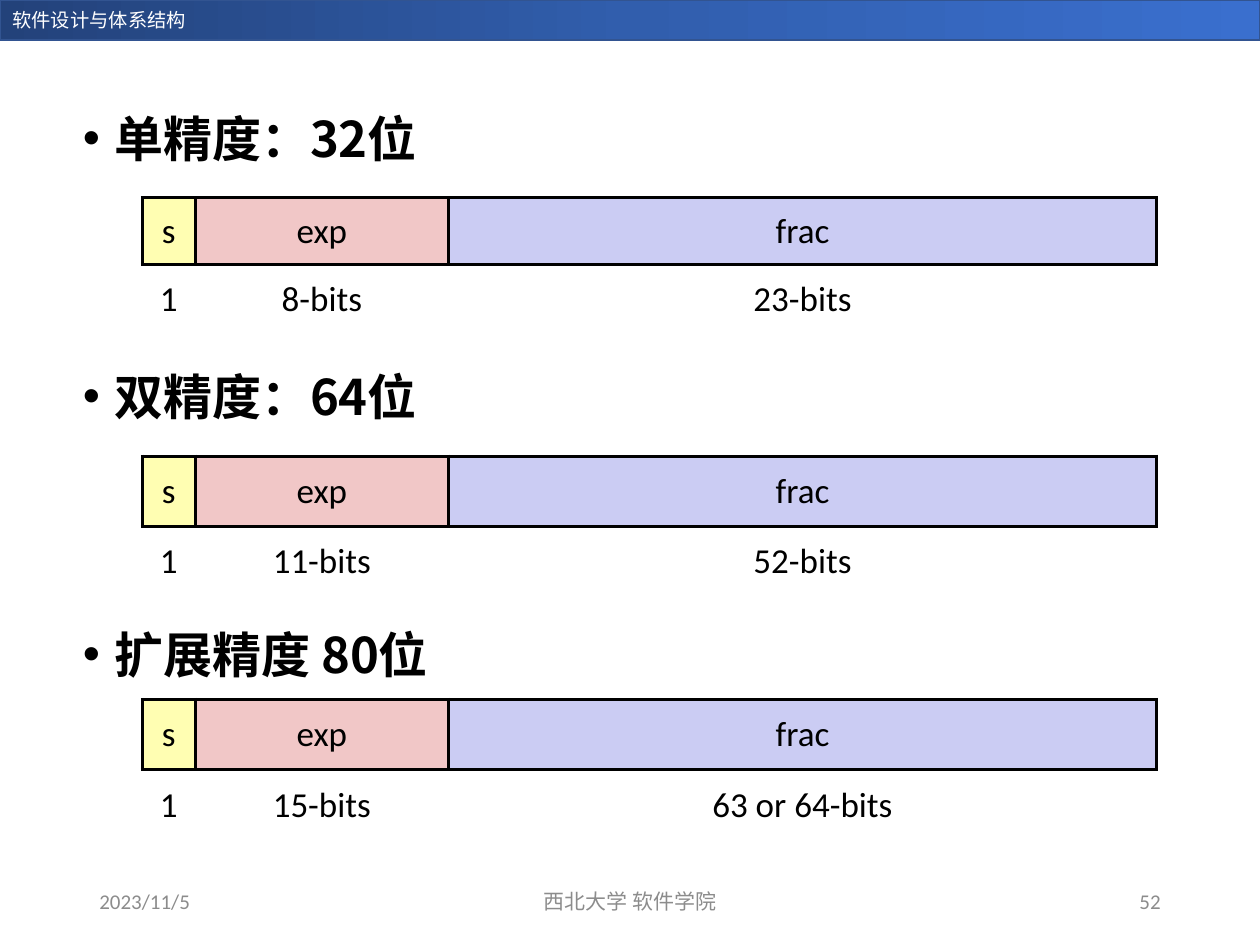
from copy import deepcopy

from lxml import etree
from pptx import Presentation
from pptx import util as u
from pptx.dml.color import RGBColor
from pptx.enum import shapes, text
from pptx.oxml.ns import qn

LATIN, CJK = "Calibri", "Noto Sans CJK SC"
BLACK, GREY, WHITE = "000000", "8C8C8C", "FFFFFF"
FIELDS = [("s", "FFFEB2"), ("exp", "F1C7C7"), ("frac", "CBCCF3")]
COLUMN_WIDTHS = [0.42, 2.01, 5.62]
NO_TABLE_STYLE = "{2D5ABB26-0587-4C30-8999-92F81FD0307C}"

# heading, table top, field row height, bit counts
FORMATS = [
    ("单精度：32位", 1.57, 0.53, ["1", "8-bits", "23-bits"]),
    ("双精度：64位", 3.62, 0.56, ["1", "11-bits", "52-bits"]),
    ("扩展精度 80位", 5.55, 0.56, ["1", "15-bits", "63 or 64-bits"]),
]


def rgb(value):
    return RGBColor.from_string(value)


def style_paragraph(paragraph, size, color, align=text.PP_ALIGN.LEFT, font=LATIN, bold=False):
    paragraph.alignment = align
    for run in paragraph.runs:
        run.font.size = u.Pt(size)
        run.font.name = font
        run.font.bold = bold
        run.font.color.rgb = rgb(color)


def add_text(slide, box, content, size, color, anchor=text.MSO_ANCHOR.TOP, **style):
    shape = slide.shapes.add_textbox(*map(u.Inches, box))
    frame = shape.text_frame
    frame.word_wrap = True
    frame.vertical_anchor = anchor
    frame.text = content
    style_paragraph(frame.paragraphs[0], size, color, **style)
    return frame.paragraphs[0]


def add_header(slide, box):
    """Gradient band with the course name."""
    band = slide.shapes.add_shape(shapes.MSO_SHAPE.RECTANGLE, *map(u.Inches, box))
    band.shadow.inherit = False
    band.line.color.rgb = rgb("325491")
    band.line.width = u.Pt(1)
    band.fill.gradient()
    band.fill.gradient_angle = 0
    first_stop = band.fill.gradient_stops[0]._gs
    first_stop.addnext(deepcopy(first_stop))
    colors = ["23427A", "315EAD", "3A6FCE"]
    for index, (stop, color) in enumerate(zip(band.fill.gradient_stops, colors)):
        stop.position = index / 2
        stop.color.rgb = rgb(color)
    left, top, _, _ = box
    add_text(slide, (left, top + 0.02, 2.49, 0.29), "软件设计与体系结构", 11, WHITE)


def add_heading(slide, box, content):
    """Bulleted bold heading."""
    paragraph = add_text(slide, box, content, 28, BLACK, font=CJK, bold=True)
    paragraph.line_spacing = 0.8
    properties = paragraph._p.get_or_add_pPr()
    properties.set("marL", str(u.Inches(0.25)))
    properties.set("indent", str(-u.Inches(0.25)))
    etree.SubElement(properties, qn("a:buFont"), typeface="Arial")
    etree.SubElement(properties, qn("a:buChar"), char="•")
    run_properties = paragraph.runs[0]._r.get_or_add_rPr()
    etree.SubElement(run_properties, qn("a:ea"), typeface=CJK)


def add_borders(cell, sides):
    properties = cell._tc.get_or_add_tcPr()
    for side in sides:
        line = etree.SubElement(properties, qn("a:ln" + side), w=str(u.Pt(2)))
        fill = etree.SubElement(line, qn("a:solidFill"))
        etree.SubElement(fill, qn("a:srgbClr"), val=BLACK)


def fill_cell(cell, content, color, sides):
    cell.text = content
    cell.vertical_anchor = text.MSO_ANCHOR.MIDDLE
    cell.margin_left = cell.margin_right = u.Inches(0.06)
    cell.margin_top = cell.margin_bottom = u.Inches(0.06)
    style_paragraph(cell.text_frame.paragraphs[0], 20, BLACK, text.PP_ALIGN.CENTER)
    add_borders(cell, sides)
    if color:
        cell.fill.solid()
        cell.fill.fore_color.rgb = rgb(color)
    else:
        cell.fill.background()


def add_bit_table(slide, box, field_height, bits):
    """Field names in bordered cells, with the bit counts below."""
    frame = slide.shapes.add_table(2, len(FIELDS), *map(u.Inches, box))
    table = frame.table
    table.first_row = table.horz_banding = False
    table._tbl.tblPr.find(qn("a:tableStyleId")).text = NO_TABLE_STYLE
    for column, width in zip(table.columns, COLUMN_WIDTHS):
        column.width = u.Inches(width)
    table.rows[0].height = u.Inches(field_height)
    table.rows[1].height = u.Inches(box[3] - field_height)
    for index, ((name, color), count) in enumerate(zip(FIELDS, bits)):
        fill_cell(table.cell(0, index), name, color, "LRTB")
        fill_cell(table.cell(1, index), count, None, "T")


def add_footer(slide, top, height):
    """Date, school and slide number."""
    parts = [
        (0.69, 2.25, "2023/11/5", text.PP_ALIGN.LEFT),
        (3.31, 3.38, "西北大学 软件学院", text.PP_ALIGN.CENTER),
        (7.06, 2.25, "52", text.PP_ALIGN.RIGHT),
    ]
    for left, width, content, align in parts:
        add_text(slide, (left, top, width, height), content, 12, GREY,
                 anchor=text.MSO_ANCHOR.MIDDLE, align=align)


def main():
    presentation = Presentation()
    presentation.slide_width = u.Inches(10)
    presentation.slide_height = u.Inches(7.5)
    slide = presentation.slides.add_slide(presentation.slide_layouts[6])

    add_header(slide, (0, 0, 10, 0.32))
    for index, (heading, top, field_height, bits) in enumerate(FORMATS):
        add_heading(slide, (0.56, 0.9 + 2.05 * index, 8.62, 0.55), heading)
        add_bit_table(slide, (1.13, top, sum(COLUMN_WIDTHS), field_height + 0.56),
                      field_height, bits)
    add_footer(slide, 6.95, 0.4)

    presentation.save("out.pptx")


if __name__ == "__main__":
    main()
